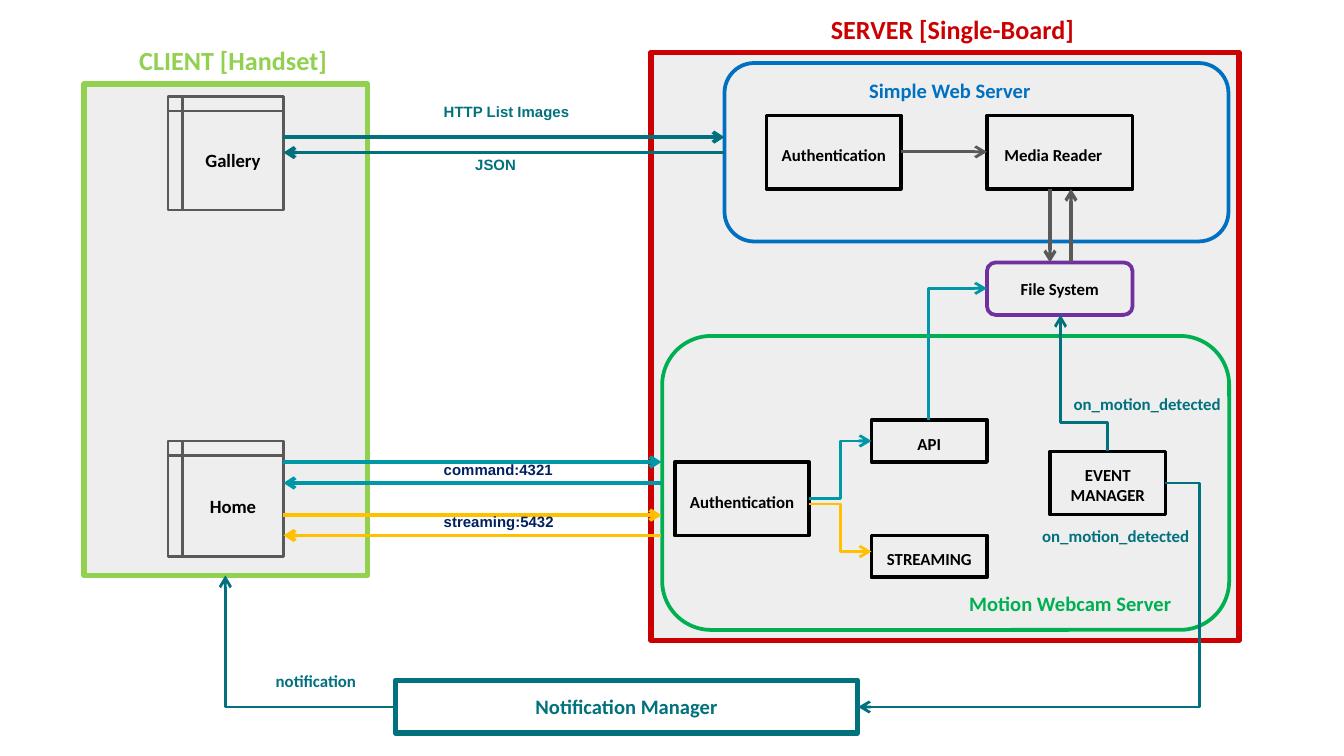
"""Build a client and server architecture diagram on one slide."""
import math
from lxml import etree
from pptx import Presentation, util as u
from pptx.dml.color import RGBColor
from pptx.enum import shapes, text
from pptx.oxml.ns import qn

COLS, ROWS = 96, 54
COLORS = {
    "black": "000000", "panel": "EEEEEE", "gray": "595959", "lime": "92D050",
    "red": "CC0000", "blue": "0070C0", "green": "00B050", "teal": "00717D",
    "cyan": "0097A7", "amber": "FFC000", "purple": "7030A0", "navy": "002060",
}
KIND = shapes.MSO_SHAPE
ALIGN = {"left": text.PP_ALIGN.LEFT, "center": text.PP_ALIGN.CENTER}
ANCHOR = {"top": text.MSO_ANCHOR.TOP, "middle": text.MSO_ANCHOR.MIDDLE}


def rgb(name):
    """Return the named colour."""
    return RGBColor.from_string(COLORS[name])


def write(sp, label, size=9, ink="black", font="Calibri", align="center",
          anchor="top", left=0.1, top=0.1):
    """Write bold text in a shape, one paragraph a line."""
    tf = sp.text_frame
    tf.word_wrap = True
    tf.vertical_anchor = ANCHOR[anchor]
    tf.margin_left, tf.margin_top = u.Inches(left), u.Inches(top)
    tf.margin_right = tf.margin_bottom = u.Inches(0.1)
    for i, line in enumerate(label.split("\n")):
        p = tf.paragraphs[0] if i == 0 else tf.add_paragraph()
        p.alignment = ALIGN[align]
        r = p.add_run()
        r.text = line
        r.font.size, r.font.bold, r.font.name = u.Pt(size), True, font
        r.font.color.rgb = rgb(ink)


class Diagram:
    """Hold the grid and the slide, and draw the diagram's elements."""

    def __init__(self, prs):
        """Add a blank slide and work out the grid cell."""
        self.s = prs.slides.add_slide(prs.slide_layouts[6])
        self.col, self.row = prs.slide_width / COLS, prs.slide_height / ROWS

    def place(self, x, y):
        """Turn columns and rows into slide lengths."""
        return round(x * self.col), round(y * self.row)

    def box(self, at, color="black", label=None, kind=KIND.RECTANGLE,
            fill=None, width=2, **fmt):
        """Draw an outlined shape with an optional label."""
        sp = self.s.shapes.add_shape(kind, *self.place(*at[:2]), *self.place(*at[2:]))
        sp.shadow.inherit = False
        if fill:
            sp.fill.solid()
            sp.fill.fore_color.rgb = rgb(fill)
        else:
            sp.fill.background()
        sp.line.color.rgb, sp.line.width = rgb(color), u.Pt(width)
        if label:
            write(sp, label, **fmt)

    def label(self, at, words, **fmt):
        """Draw a free text label."""
        sp = self.s.shapes.add_textbox(*self.place(*at[:2]), *self.place(*at[2:]))
        write(sp, words, **{"align": "left", **fmt})

    def arrow(self, start, end, color, width=2.0, bends=0, turn=0, adj=None):
        """Draw a straight or elbow arrow, turned by the given degrees."""
        (x1, y1), (x2, y2) = self.place(*start), self.place(*end)
        cx, cy, dx, dy = (x1 + x2) / 2, (y1 + y2) / 2, x2 - x1, y2 - y1
        cos, sin = math.cos(math.radians(turn)), math.sin(math.radians(turn))
        hx, hy = (dx * cos + dy * sin) / 2, (dy * cos - dx * sin) / 2
        kind = shapes.MSO_CONNECTOR.ELBOW if bends else shapes.MSO_CONNECTOR.STRAIGHT
        c = self.s.shapes.add_connector(
            kind, *(round(v) for v in (cx - hx, cy - hy, cx + hx, cy + hy)))
        c.line.color.rgb, c.line.width = rgb(color), u.Pt(width)
        pr = c._element.spPr
        geom = pr.find(qn("a:prstGeom"))
        if turn:
            pr.find(qn("a:xfrm")).set("rot", str(turn * 60000))
        if bends:
            geom.set("prst", f"bentConnector{bends + 1}")
        if adj is not None:
            etree.SubElement(geom.find(qn("a:avLst")), qn("a:gd"),
                             name="adj1", fmla=f"val {round(adj * 100000)}")
        etree.SubElement(pr.find(qn("a:ln")), qn("a:tailEnd"), type="arrow")
        etree.SubElement(pr, qn("a:effectLst"))


prs = Presentation()
prs.slide_width, prs.slide_height = u.Inches(10), u.Inches(5.625)
d = Diagram(prs)

d.box((6, 6, 20.25, 35.1), "lime", fill="panel", width=3)
d.box((46.5, 3.75, 42, 42), "red", fill="panel", width=3)
d.label((9, 2.2, 18, 3.75), "CLIENT [Handset]", size=14, ink="lime")
d.label((58.4, 0, 21.5, 5.25), "SERVER [Single-Board]", size=14, ink="red")
for at, color in (((51.75, 4.5, 36, 12.75), "blue"), ((47.3, 24, 40.5, 21), "green")):
    d.box(at, color, kind=KIND.ROUNDED_RECTANGLE, fill="panel")
d.label((58.5, 4.7, 18.7, 3.55), "Simple Web Server", size=11, ink="blue", align="center")
d.label((67.4, 41.3, 18.1, 2.4), "Motion Webcam Server", size=11, ink="green", align="center")

for y, h, name in ((31.5, 8.25, "Home"), (6.9, 8.1, "Gallery")):
    d.box((12, y, 8.25, h), "gray", name, KIND.FLOWCHART_INTERNAL_STORAGE,
          width=1.25, size=10, anchor="middle")
d.box((28.25, 48.6, 33, 3.75), "teal", "Notification Manager", width=3, size=11, ink="teal")
d.box((70.5, 18.75, 10.4, 3.75), "purple", "File System", KIND.ROUNDED_RECTANGLE, anchor="middle")
for x, y in ((54.75, 8.25), (48.2, 33)):
    d.box((x, y, 9.6, 5.25), label="Authentication", top=0.22)
d.box((70.5, 8.25, 10.4, 5.25), label="Media Reader", top=0.22, left=0.13, align="left")
for at, name in (((62.25, 30, 8.25, 3), "API"), ((62.25, 38.25, 8.25, 3), "STREAMING"),
                 ((75, 32.25, 8.25, 4.5), "EVENT\nMANAGER")):
    d.box(at, label=name)

d.arrow((64.35, 10.85), (70.5, 10.85), "gray", 1.5)
d.arrow((57.8, 35.6), (62.25, 31.5), "cyan", 1.5, bends=2)
d.arrow((57.8, 36), (62.25, 39.4), "amber", 1.5, bends=2)
d.arrow((66.35, 30), (70.5, 20.6), "cyan", 1.5, bends=1, turn=90)
d.arrow((79.1, 32.25), (75.75, 22.5), "teal", 1.5, bends=2, turn=270, adj=0.21)
d.arrow((83.25, 34.5), (61.3, 50.5), "teal", 1.5, bends=2, adj=-0.11)
d.arrow((28.25, 50.5), (16.1, 41.1), "teal", 1.5, bends=1, turn=180)

CLIENT_EDGE, WEB_EDGE, MOTION_EDGE = 20.25, 51.75, 47.25
for request, reply, edge, color in ((9.8, 10.9, WEB_EDGE, "teal"),
                                    (33, 34.5, MOTION_EDGE, "cyan"),
                                    (36.8, 38.25, MOTION_EDGE, "amber")):
    d.arrow((CLIENT_EDGE, request), (edge, request), color)
    d.arrow((edge, reply), (CLIENT_EDGE, reply), color)
d.arrow((75, 13.5), (75, 18.75), "gray", 1.75)
d.arrow((76.5, 18.75), (76.5, 13.5), "gray", 1.75)

for at, words, ink in (((30.75, 6.7, 12.8, 3), "HTTP List Images", "teal"),
                       ((33, 10.5, 5.5, 2.2), "JSON", "teal"),
                       ((30.75, 32.25, 12.8, 3), "command:4321", "navy"),
                       ((30.75, 36, 12.8, 3), "streaming:5432", "navy")):
    d.label(at, words, size=8, ink=ink, font="Arial")
for at, words in (((18.75, 47.25, 8.5, 2.7), "notification"),
                  ((75.75, 27.75, 13.5, 2.2), "on_motion_detected"),
                  ((73.5, 36.75, 13.5, 3), "on_motion_detected")):
    d.label(at, words, ink="teal", anchor="middle")

prs.save("out.pptx")
